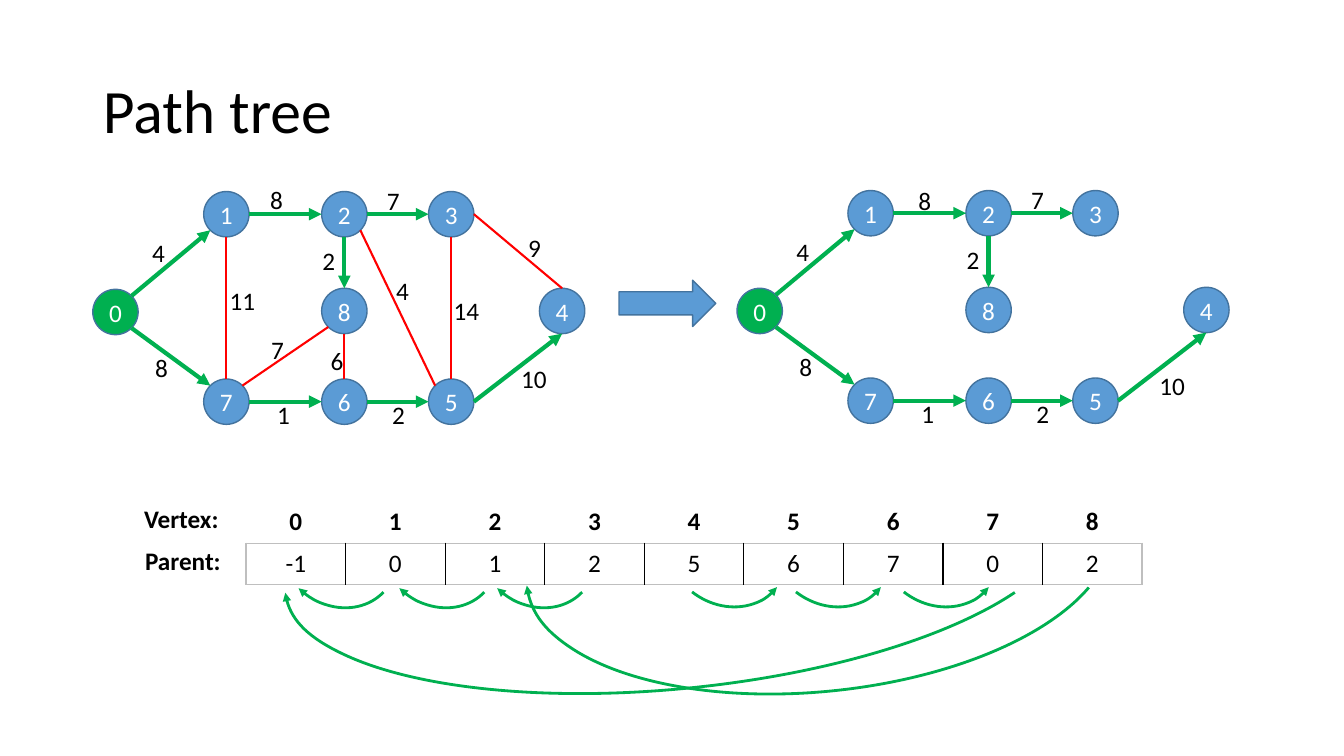
from math import sqrt

from lxml import etree
from pptx import Presentation
from pptx.dml.color import RGBColor
from pptx.enum.shapes import MSO_CONNECTOR, MSO_SHAPE
from pptx.enum.text import MSO_ANCHOR, MSO_AUTO_SIZE, PP_ALIGN
from pptx.oxml.ns import qn
from pptx.util import Inches, Pt

STRAIGHT = MSO_CONNECTOR.STRAIGHT
OVAL, ARC, BLOCK_ARROW = MSO_SHAPE.OVAL, MSO_SHAPE.ARC, MSO_SHAPE.RIGHT_ARROW
MIDDLE = MSO_ANCHOR.MIDDLE
FIT_TEXT = MSO_AUTO_SIZE.SHAPE_TO_FIT_TEXT
LEFT, CENTER = PP_ALIGN.LEFT, PP_ALIGN.CENTER

FONT = "Calibri"
BLACK = RGBColor(0x00, 0x00, 0x00)
WHITE = RGBColor(0xFF, 0xFF, 0xFF)
BLUE = RGBColor(0x5B, 0x9B, 0xD5)
DARK_BLUE = RGBColor(0x43, 0x73, 0x9E)
GREEN = RGBColor(0x00, 0xB0, 0x50)
RED = RGBColor(0xFF, 0x00, 0x00)
GREY = RGBColor(0xBF, 0xBF, 0xBF)

# Content: vertex -> left, top of its circle
TITLE = "Path tree"
VERTICES = {
    0: (0.92, 2.87), 1: (2.02, 1.9), 2: (3.19, 1.9), 3: (4.25, 1.9), 4: (5.35, 2.86),
    5: (4.25, 3.76), 6: (3.19, 3.76), 7: (2.02, 3.76), 8: (3.19, 2.86),
}
# Edges: start, side, end, side, weight, left and top of the weight
TREE_EDGES = [
    (0, "NE", 1, "SW", "4", 1.41, 2.31),
    (0, "SE", 7, "NW", "8", 1.44, 3.45),
    (1, "E", 2, "W", "8", 2.58, 1.78),
    (2, "E", 3, "W", "7", 3.74, 1.79),
    (5, "E", 4, "S", "10", 5.07, 3.56),
    (6, "E", 5, "W", "2", 3.79, 3.91),
    (7, "E", 6, "W", "1", 2.65, 3.91),
    (2, "S", 8, "N", "2", 3.1, 2.38),
]
OTHER_EDGES = [
    (3, "E", 4, "N", "9", 5.14, 2.26),
    (1, "S", 7, "N", "11", 2.18, 2.78),
    (3, "S", 5, "N", "14", 4.4, 2.88),
    (2, "SE", 5, "NW", "4", 3.83, 2.68),
    (8, "S", 6, "N", "6", 3.18, 3.38),
    (7, "NE", 8, "SW", "7", 2.59, 3.27),
]
TREE_SHIFT = (6.39, -0.01)
TREE_NUDGES = {(5, 4): (-0.06, 0.07), (1, 2): (0.04, 0.02)}

ROWS = [("Vertex:", 1.33, 4.97, range(9), True),
        ("Parent:", 1.34, 5.39, [-1, 0, 1, 2, 5, 6, 7, 0, 2], False)]
TABLE_LEFT, TABLE_WIDTH, ROW_HEIGHT = 2.44, 8.89, 0.41

# Parent pointers: left, top, width, height, rotation, arrow end, first angle
SHORT_TOP, SHORT_SIZE = 4.8, (1.11, 1.27)
POINTERS = [(x, SHORT_TOP, *SHORT_SIZE, 133.8, "tailEnd", None) for x in (2.79, 3.79, 4.76)]
POINTERS += [(x, SHORT_TOP, *SHORT_SIZE, 127.9, "headEnd", None) for x in (6.65, 7.68, 8.75)]
POINTERS += [(2.81, 4.14, 7.82, 2.69, 174.2, "tailEnd", 115.488),
             (5.21, 4.17, 5.83, 2.69, 174.2, "tailEnd", 115.488)]

DIAMETER = 0.45
DIAGONAL = sqrt(0.5)
SIDES = {"N": (0, -1), "E": (1, 0), "S": (0, 1), "W": (-1, 0),
         "NE": (DIAGONAL, -DIAGONAL), "SE": (DIAGONAL, DIAGONAL),
         "SW": (-DIAGONAL, DIAGONAL), "NW": (-DIAGONAL, -DIAGONAL)}


def style_text(para, color=BLACK, size=18, bold=False, align=LEFT):
    para.alignment = align
    para.font.name, para.font.size, para.font.bold = FONT, Pt(size), bold
    para.font.color.rgb = color


def style_line(shape, color, width, arrow_end=None):
    shape.line.color.rgb = color
    shape.line.width = Pt(width)
    if arrow_end:
        line = shape._element.spPr.find(qn("a:ln"))
        etree.SubElement(line, qn("a:" + arrow_end), type="triangle")


def add_solid(shapes, kind, box, color):
    shape = shapes.add_shape(kind, *map(Inches, box))
    shape.shadow.inherit = False
    shape.fill.solid()
    shape.fill.fore_color.rgb = color
    style_line(shape, DARK_BLUE, 1)
    return shape


def add_label(shapes, text, left, top, width, bold=False):
    box = shapes.add_textbox(Inches(left), Inches(top), Inches(width), Inches(0.4))
    box.text_frame.word_wrap = False
    box.text_frame.auto_size = FIT_TEXT
    box.text_frame.text = text
    style_text(box.text_frame.paragraphs[0], bold=bold)


def edge_point(vertex, side, dx, dy):
    radius = DIAMETER / 2
    left, top = VERTICES[vertex]
    across, down = SIDES[side]
    return (Inches(left + dx + radius * (1 + across)),
            Inches(top + dy + radius * (1 + down)))


def add_edges(shapes, edges, color, width, arrow_end=None, shift=(0, 0), nudges={}):
    dx, dy = shift
    for start, start_side, end, end_side, weight, left, top in edges:
        edge = shapes.add_connector(STRAIGHT, *edge_point(start, start_side, dx, dy),
                                    *edge_point(end, end_side, dx, dy))
        style_line(edge, color, width, arrow_end)
        etree.SubElement(edge._element.spPr, qn("a:effectLst"))
        nudge_x, nudge_y = nudges.get((start, end), (0, 0))
        add_label(shapes, weight, left + dx + nudge_x, top + dy + nudge_y,
                  0.2 + 0.13 * len(weight))


def add_vertices(shapes, shift=(0, 0)):
    for number, (left, top) in VERTICES.items():
        box = (left + shift[0], top + shift[1], DIAMETER, DIAMETER)
        circle = add_solid(shapes, OVAL, box, BLUE if number else GREEN)
        frame = circle.text_frame
        frame.margin_left = frame.margin_right = 0
        frame.vertical_anchor = MIDDLE
        frame.text = str(number)
        style_text(frame.paragraphs[0], WHITE, align=CENTER)


def add_border(cell, side, color):
    line = etree.SubElement(cell._tc.get_or_add_tcPr(), qn("a:ln" + side), w=str(Pt(1)))
    fill = etree.SubElement(line, qn("a:solidFill"))
    etree.SubElement(fill, qn("a:srgbClr"), val=str(color))


def add_row(shapes, top, values, bold, bordered):
    table = shapes.add_table(1, len(values), Inches(TABLE_LEFT), Inches(top),
                             Inches(TABLE_WIDTH), Inches(ROW_HEIGHT)).table
    table.first_row = table.horz_banding = False
    last = len(values) - 1
    for index, value in enumerate(values):
        table.columns[index].width = Inches(TABLE_WIDTH / len(values))
        cell = table.cell(0, index)
        if bordered:
            add_border(cell, "L", BLACK if index > 0 else GREY)
            add_border(cell, "R", BLACK if index < last else GREY)
            add_border(cell, "T", GREY)
            add_border(cell, "B", GREY)
        cell.fill.background()
        cell.text = str(value)
        style_text(cell.text_frame.paragraphs[0], bold=bold, align=CENTER)


def main():
    deck = Presentation()
    deck.slide_width, deck.slide_height = Inches(13.33), Inches(7.5)
    page = deck.slides.add_slide(deck.slide_layouts[5])
    shapes = page.shapes

    # Title
    title = shapes.title
    title.left, title.top = Inches(0.92), Inches(0.4)
    title.width, title.height = Inches(11.5), Inches(1.45)
    title.text_frame.text = TITLE
    title.text_frame.vertical_anchor = MIDDLE
    style_text(title.text_frame.paragraphs[0], size=44)
    title.text_frame.paragraphs[0].line_spacing = 0.9

    # Full graph
    add_vertices(shapes)
    add_edges(shapes, OTHER_EDGES, RED, 1.5)
    add_edges(shapes, TREE_EDGES, GREEN, 3, "tailEnd")

    # Path tree
    tree = shapes.add_group_shape().shapes
    add_vertices(tree, TREE_SHIFT)
    add_edges(tree, TREE_EDGES, GREEN, 3, "tailEnd", TREE_SHIFT, TREE_NUDGES)
    add_solid(shapes, BLOCK_ARROW, (6.14, 2.78, 0.96, 0.46), BLUE)

    # Vertex and parent rows
    for name, left, top, values, bold in ROWS:
        add_row(shapes, top, values, bold, bordered=not bold)
        add_label(shapes, name, left, top - 0.03, 0.95, bold=True)

    # Pointers to parents
    for left, top, width, height, rotation, arrow_end, first_angle in POINTERS:
        arc = shapes.add_shape(ARC, *map(Inches, (left, top, width, height)))
        arc.shadow.inherit = False
        arc.fill.background()
        arc.rotation = rotation
        if first_angle:
            arc.adjustments[0] = first_angle
        style_line(arc, GREEN, 2, arrow_end)

    deck.save("out.pptx")


if __name__ == "__main__":
    main()
